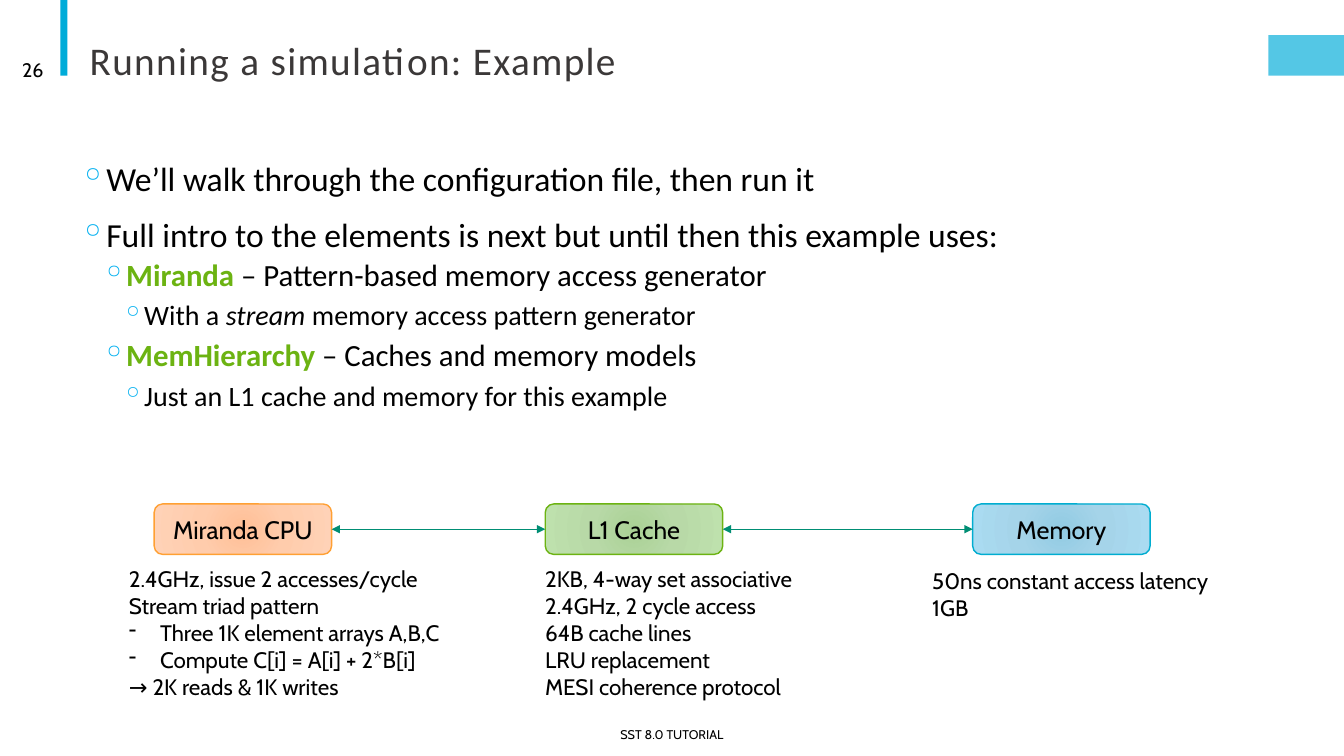
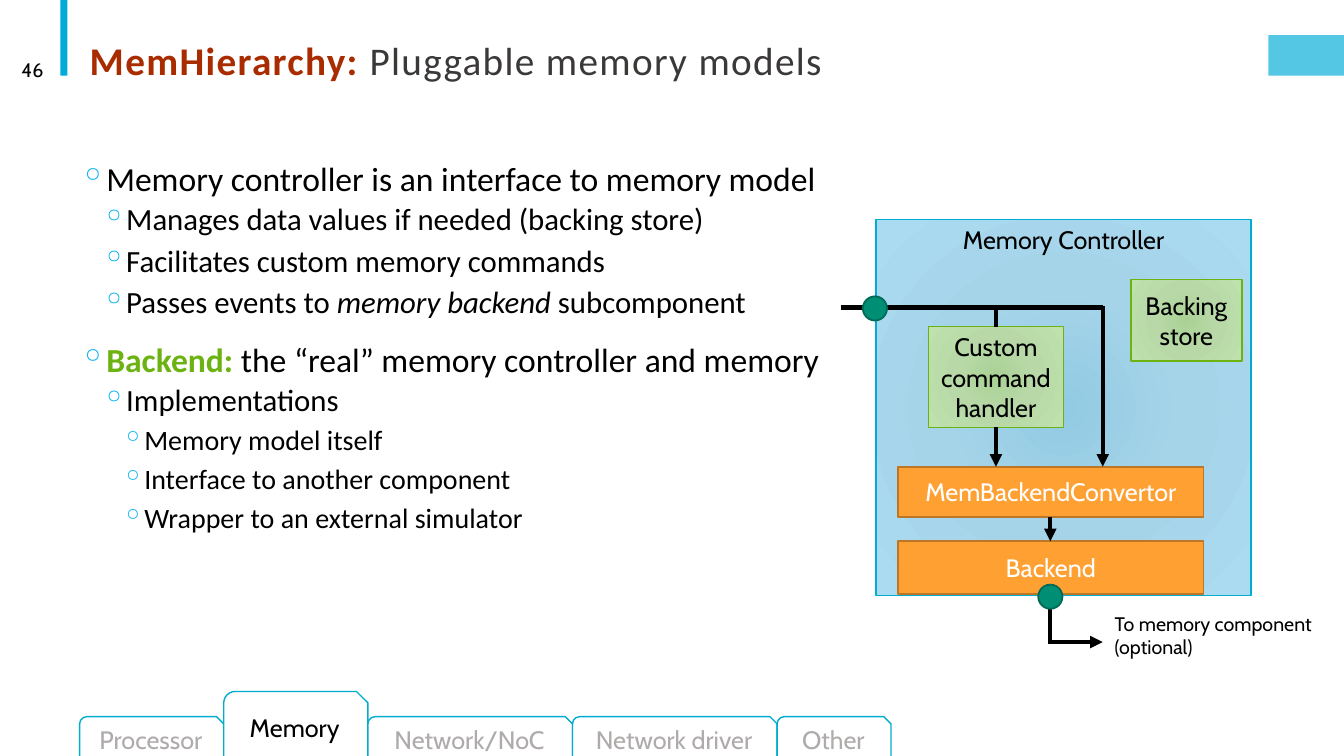
from itertools import accumulate

from pptx import Presentation
from pptx.dml.color import RGBColor
from pptx.enum.shapes import MSO_CONNECTOR as LINK, MSO_SHAPE as FORM
from pptx.enum.text import MSO_ANCHOR as ANCHOR, PP_ALIGN as ALIGN
from pptx.oxml import parse_xml
from pptx.oxml.ns import nsdecls, qn
from pptx.util import Inches, Pt

# Shared look: every length is counted in grid cells of a tenth of an inch
CELL = Inches(0.1)
COLUMNS, ROWS = 133.33, 75
LEFT = 7.9
COLORS = {
    "black": "000000", "white": "FFFFFF", "title": "3B3838", "muted": "AFABAB",
    "band": "00ACD9", "bullet": "00B0F0", "blue": "00ADD0", "green": "6CB312",
    "orange": "FFA033", "brown": "BD7626", "red": "A92C00",
    "teal": "008E74", "dark_teal": "006956",
}
GLOWS = {
    "orange": ("FFBF96", "FFCCAC", "FFD2B7"),
    "green": ("AAD195", "B8D9A7", "BEE1AD"),
    "blue": ("92CBE3", "A5D4E9", "AADBF1"),
}
BODY_FONT, LABEL_FONT = "Calibri", "Cabin"
# Per outline level: size, indent, space before, space after
LEVELS = [(24, 1, 12, 2), (22, 4.2, 2, 4), (20, 6.2, 2, 4)]


def cells(count):
    return round(count * CELL)


def rgb(name):
    return RGBColor.from_string(COLORS[name])


# Text
def write(para, spans, size, color="black", font=LABEL_FONT, spacing=0):
    """Spans are a string or (text, style) pairs; a style is a colour or "italic"."""
    if isinstance(spans, str):
        spans = [(spans, None)]
    for text, style in spans:
        span = para.add_run()
        span.text = text
        span.font.size, span.font.name = Pt(size), font
        span.font.italic = style == "italic"
        span.font.bold = style in COLORS
        span.font.color.rgb = rgb(style if style in COLORS else color)
        if spacing:
            span.font._element.set("spc", str(spacing * 100))


def paragraphs(frame, items):
    for index, item in enumerate(items):
        yield (frame.add_paragraph() if index else frame.paragraphs[0]), item


def add_bullet(para, mark, indent, hanging, color=None):
    props = para._p.get_or_add_pPr()
    props.set("marL", str(cells(indent)))
    props.set("indent", str(-cells(hanging)))
    if color:
        props.append(parse_xml(f'<a:buClr {nsdecls("a")}><a:srgbClr val="{COLORS[color]}"/></a:buClr>'))
    props.append(parse_xml(f'<a:buChar {nsdecls("a")} char="{mark}"/>'))


def add_text(page, at, lines, size, align=ALIGN.LEFT, anchor=ANCHOR.TOP):
    frame = page.shapes.add_textbox(*map(cells, at)).text_frame
    frame.word_wrap, frame.vertical_anchor = True, anchor
    for para, line in paragraphs(frame, lines):
        para.alignment = align
        if line.startswith("- "):
            add_bullet(para, "-", 3.1, 3.1)
            line = line[2:]
        write(para, line, size)


def add_outline(page, width, height, items):
    frame = page.shapes.add_textbox(*map(cells, (LEFT, 15.6, width, height))).text_frame
    frame.word_wrap = True
    frame.margin_left = frame.margin_right = 0
    for index, (para, (level, spans)) in enumerate(paragraphs(frame, items)):
        size, indent, before, after = LEVELS[level]
        para.level = level
        para.line_spacing = 0.9
        para.space_before, para.space_after = Pt(before if index else 0), Pt(after)
        add_bullet(para, "◦", indent, 2, "bullet")
        write(para, spans, size, font=BODY_FONT)


# Shapes and lines
def add_box(page, form, at, fill, line=None, weight=1, text="", color="black", anchor=ANCHOR.MIDDLE):
    box = page.shapes.add_shape(form, *map(cells, at))
    box.shadow.inherit = False
    box.fill.solid()
    box.fill.fore_color.rgb = rgb(fill)
    if line:
        box.line.color.rgb, box.line.width = rgb(line), Pt(weight)
    else:
        box.line.fill.background()
    if text:
        frame = box.text_frame
        frame.word_wrap, frame.vertical_anchor = True, anchor
        frame.paragraphs[0].alignment = ALIGN.CENTER
        write(frame.paragraphs[0], text, 18, color)
    return box


def add_glow_box(page, form, at, tone, text, anchor=ANCHOR.MIDDLE):
    box = add_box(page, form, at, tone, tone, text=text, anchor=anchor)
    stops = "".join(f'<a:gs pos="{place}000"><a:srgbClr val="{shade}"/></a:gs>'
                    for place, shade in zip((0, 45, 100), GLOWS[tone]))
    edges = " ".join(f'{side}="100000"' for side in "ltrb")
    glow = parse_xml(f'<a:gradFill {nsdecls("a")} rotWithShape="1"><a:gsLst>{stops}</a:gsLst>'
                     f'<a:path path="circle"><a:fillToRect {edges}/></a:path></a:gradFill>')
    props = box._element.spPr
    props.replace(props.find(qn("a:solidFill")), glow)
    return box


def add_line(page, ends, color, weight, heads=()):
    line = page.shapes.add_connector(LINK.STRAIGHT, *map(cells, ends))
    line.line.color.rgb, line.line.width = rgb(color), Pt(weight)
    for head in heads:
        line.line._get_or_add_ln().append(parse_xml(f'<a:{head} {nsdecls("a")} type="triangle"/>'))
    line._element.spPr.append(parse_xml(f'<a:effectLst {nsdecls("a")}/>'))
    return line


def add_port(page, center_x, center_y):
    size = 2.4
    add_box(page, FORM.OVAL, (center_x - size / 2, center_y - size / 2, size, size),
            "teal", "dark_teal", 1.25)


def add_tabs(page, names, widths, active):
    starts = accumulate(widths, initial=LEFT)
    for name, left, width in zip(names, starts, widths):
        top, color = (68.6, "black") if name == active else (71.1, "muted")
        add_box(page, FORM.SNIP_ROUND_RECTANGLE, (left, top, width, 75.4 - top),
                "white", "blue", text=name, color=color)


# Page frame: bands, title and number
def add_page(deck, number, title):
    page = deck.slides.add_slide(deck.slide_layouts[5])
    add_box(page, FORM.RECTANGLE, (6, 0, 0.7, 7.5), "band")
    tag = add_box(page, FORM.RECTANGLE, (COLUMNS - 7.5, 3.5, 7.5, 4), "band")
    tint = tag._element.spPr.find(qn("a:solidFill"))[0]
    tint.append(parse_xml(f'<a:alpha {nsdecls("a")} val="67000"/>'))

    heading = page.shapes.title
    heading.left, heading.top, heading.width, heading.height = map(cells, (LEFT, 2.6, 110, 6.2))
    frame = heading.text_frame
    frame.word_wrap, frame.vertical_anchor = True, ANCHOR.BOTTOM
    para = frame.paragraphs[0]
    para.alignment, para.line_spacing = ALIGN.LEFT, 0.85
    write(para, title, 28, "title", BODY_FONT, spacing=1)
    add_text(page, (0.7, 4.9, 4.6, 4), [number], 14, ALIGN.RIGHT, ANCHOR.MIDDLE)
    return page


def build_simulation(deck):
    page = add_page(deck, "26", "Running a simulation: Example")
    add_text(page, (40.3, 70.9, 52.7, 4), ["SST 8.0 TUTORIAL"], 9, ALIGN.CENTER, ANCHOR.MIDDLE)
    add_outline(page, 92.4, 27.6, [
        (0, "We’ll walk through the configuration file, then run it"),
        (0, "Full intro to the elements is next but until then this example uses:"),
        (1, [("Miranda", "green"), (" – Pattern-based memory access generator", None)]),
        (2, [("With a ", None), ("stream", "italic"), (" memory access pattern generator", None)]),
        (1, [("MemHierarchy", "green"), (" – Caches and memory models", None)]),
        (2, "Just an L1 cache and memory for this example"),
    ])

    # Chain of components
    chain = [add_glow_box(page, FORM.ROUNDED_RECTANGLE, (left, 50, 17.6, 5), tone, name)
             for left, tone, name in ((15.3, "orange", "Miranda CPU"),
                                      (54.1, "green", "L1 Cache"),
                                      (96.5, "blue", "Memory"))]
    for source, target in zip(chain, chain[1:]):
        link = add_line(page, (0, 0, 0, 0), "teal", 1, ("headEnd", "tailEnd"))
        link.begin_connect(source, 3)
        link.end_connect(target, 1)

    # Settings below each component
    add_text(page, (11.8, 55.6, 39.8, 14.5), [
        "2.4GHz, issue 2 accesses/cycle", "Stream triad pattern",
        "- Three 1K element arrays A,B,C", "- Compute C[i] = A[i] + 2*B[i]",
        "→ 2K reads & 1K writes"], 16)
    add_text(page, (53.1, 55.6, 32, 14.5), [
        "2KB, 4-way set associative", "2.4GHz, 2 cycle access", "64B cache lines",
        "LRU replacement", "MESI coherence protocol"], 16)
    add_text(page, (91.5, 55.8, 32, 9.1), ["50ns constant access latency", "1GB"], 16)


def build_memory_models(deck):
    page = add_page(deck, "46", [("MemHierarchy: ", "red"), ("Pluggable memory models", None)])
    add_outline(page, 75.5, 51, [
        (0, "Memory controller is an interface to memory model"),
        (1, "Manages data values if needed (backing store)"),
        (1, "Facilitates custom memory commands"),
        (1, [("Passes events to ", None), ("memory backend ", "italic"), ("subcomponent", None)]),
        (0, [("Backend: ", "green"), ("the “real” memory controller and memory", None)]),
        (1, "Implementations"),
        (2, "Memory model itself"),
        (2, "Interface to another component"),
        (2, "Wrapper to an external simulator"),
    ])

    # Memory controller and its parts
    add_glow_box(page, FORM.RECTANGLE, (86.9, 21.8, 37.2, 37.3), "blue", "Memory Controller", ANCHOR.TOP)
    for top, height, name in ((46.3, 5, "MemBackendConvertor"), (53.7, 5.2, "Backend")):
        add_box(page, FORM.RECTANGLE, (89.1, top, 30.3, height), "orange", "brown", 1.25, name, "white")
    add_glow_box(page, FORM.RECTANGLE, (112.2, 27.7, 11, 8.1), "green", "Backing store")
    add_glow_box(page, FORM.RECTANGLE, (92.1, 32.4, 13.4, 10), "green", "Custom command handler")

    # Event paths
    bus, handler, bypass, backend, exit_row = 30.5, 98.8, 109.4, 104.2, 63.7
    for ends in ((83.4, bus, bypass, bus), (handler, bus, handler, 32.4),
                 (backend, 60.4, backend, exit_row)):
        add_line(page, ends, "black", 3)
    for ends in ((handler, 42.4, handler, 46.3), (bypass, bus - 0.1, bypass, 46.3),
                 (backend, 51.3, backend, 53.7), (backend - 0.2, exit_row, bypass, exit_row)):
        add_line(page, ends, "black", 3, ("tailEnd",))
    add_port(page, 86.8, 30.6)
    add_port(page, backend, 59.2)
    add_text(page, (109.6, 60.2, 23, 5.7), ["To memory component (optional)"], 14)

    add_tabs(page, ["Processor", "Memory", "Network/NoC", "Network driver", "Other"],
             [14.3, 14.3, 20.3, 20.3, 11.3], "Memory")


def main():
    deck = Presentation()
    deck.slide_width, deck.slide_height = cells(COLUMNS), cells(ROWS)
    build_simulation(deck)
    build_memory_models(deck)
    deck.save("out.pptx")


if __name__ == "__main__":
    main()
